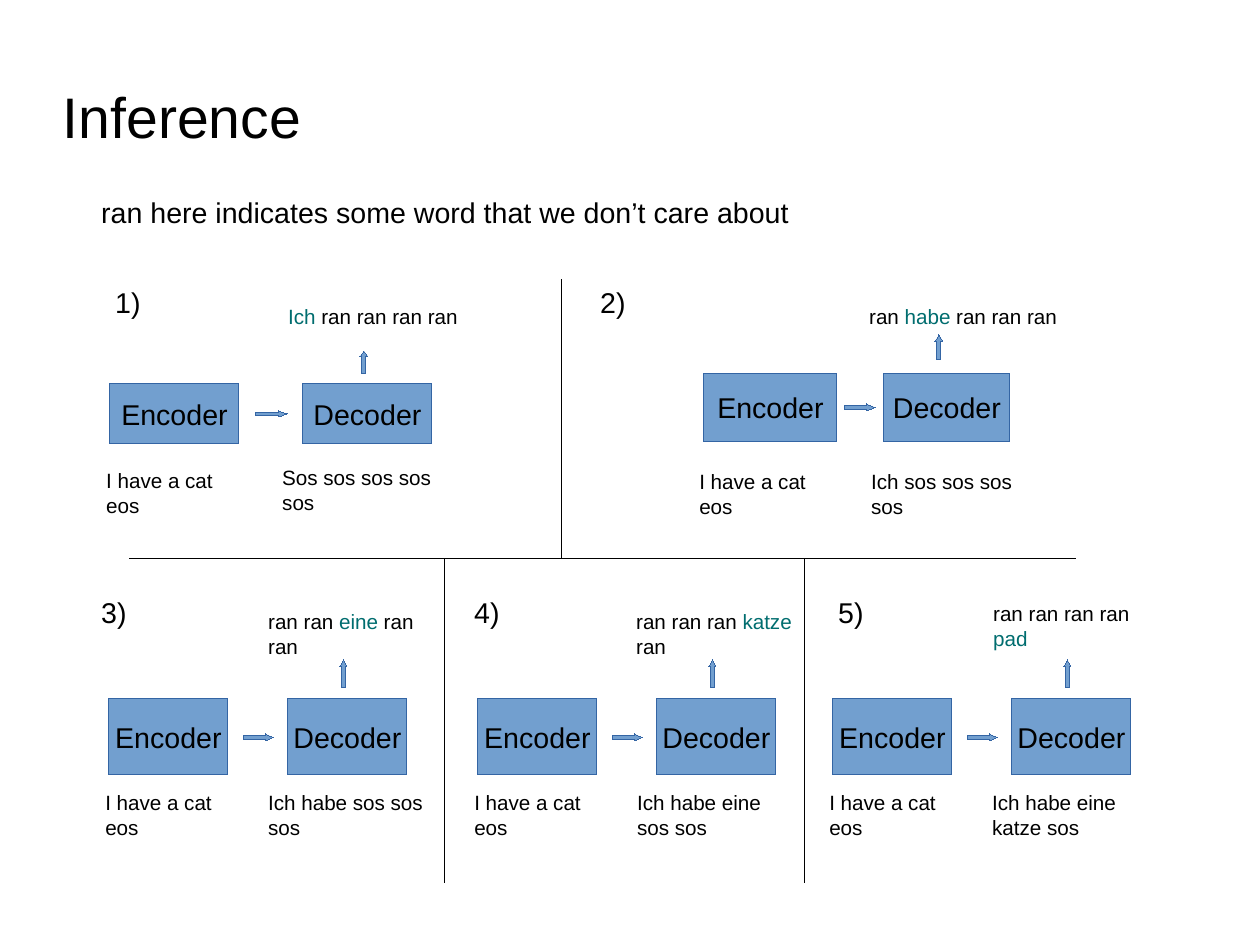
from dataclasses import dataclass

from lxml.etree import SubElement
from pptx import Presentation
from pptx.dml.color import RGBColor
from pptx.enum.shapes import MSO_CONNECTOR as Link, MSO_SHAPE as Kind
from pptx.enum.text import MSO_ANCHOR as Anchor, PP_ALIGN as Align
from pptx.oxml.ns import qn
from pptx.util import Pt

PX = 8000
FONT = "Arial"
HAIR = Pt(0.01)
BLACK = RGBColor(0x00, 0x00, 0x00)
TEAL = RGBColor(0x00, 0x6D, 0x6F)
BLUE = RGBColor(0x72, 0x9F, 0xCF)
NAVY = RGBColor(0x34, 0x65, 0xA4)


@dataclass
class Plan:
    """Boxes of one step, measured from the top left of its encoder."""
    enc: tuple
    dec: tuple
    right: tuple
    up: tuple
    src: tuple
    dst: tuple
    heads: tuple


FIRST = Plan((0, 0, 129, 60), (193, 0, 129, 60), (145, 27, 32, 6), (250, -33, 8, 22),
             (-15, 78, 161, 57), (161, 75, 193, 57), (1.47, 0.69))
SECOND = Plan((0, 0, 133, 69), (180, 0, 126, 69), (140, 31, 31, 7), (231, -38, 8, 25),
              (-16, 90, 157, 57), (156, 90, 187, 57), (1.23, 0.81))
LOWER = Plan((0, 0, 119, 76), (179, 0, 119, 76), (134, 35, 30, 7), (231, -39, 7, 28),
             (-15, 85, 149, 97), (148, 85, 178, 97), (1.07, 0.94))

STEPS = [
    (FIRST, (110, 384), (-6, -105), (167, -86, 270, 34),
     "Sos sos sos sos sos", ("", "Ich", " ran ran ran ran")),
    (SECOND, (704, 373), (-115, -94), (154, -75, 234, 34),
     "Ich sos sos sos sos", ("ran ", "habe", " ran ran ran")),
    (LOWER, (109, 699), (-19, -110), (148, -96, 178, 97),
     "Ich habe sos sos sos", ("ran ran ", "eine", " ran ran")),
    (LOWER, (478, 699), (-15, -110), (147, -96, 178, 97),
     "Ich habe eine sos sos", ("ran ran ran ", "katze", " ran")),
    (LOWER, (833, 699), (-6, -110), (149, -104, 178, 97),
     "Ich habe eine katze sos", ("ran ran ran ran ", "pad", "")),
]

RULES = [(562, 279, 562, 558), (445, 558, 445, 882),
         (805, 558, 805, 882), (130, 558, 1076, 558)]


def scale(box):
    """Turn px into EMU."""
    return [n * PX for n in box]


def shift(spot, box):
    """Move a box by the given spot."""
    return (spot[0] + box[0], spot[1] + box[1], *box[2:])


def write(frame, size, runs):
    """Fill a frame with runs, every second one in teal."""
    para = frame.paragraphs[0]
    font = para.font
    font.name, font.size = FONT, Pt(size)
    font.color.rgb = BLACK
    for i, words in enumerate(runs):
        if words:
            run = para.add_run()
            run.text = words
            if i % 2:
                run.font.color.rgb = TEAL
    return para


def label(slide, box, size, *runs):
    """Add a wrapped text box."""
    frame = slide.shapes.add_textbox(*scale(box)).text_frame
    frame.word_wrap = True
    write(frame, size, runs)
    return frame


def solid(slide, kind, box):
    """Add a blue shape with a thin navy edge."""
    shape = slide.shapes.add_shape(kind, *scale(box))
    shape.shadow.inherit = False
    shape.fill.solid()
    shape.fill.fore_color.rgb = BLUE
    shape.line.color.rgb = NAVY
    shape.line.width = HAIR
    return shape


def block(slide, box, name):
    """Add a named model block."""
    frame = solid(slide, Kind.RECTANGLE, box).text_frame
    frame.word_wrap = False
    frame.vertical_anchor = Anchor.MIDDLE
    write(frame, 18, [name]).alignment = Align.CENTER


def arrow(slide, kind, box, head):
    """Add a block arrow with the given head length."""
    solid(slide, kind, box).adjustments[1] = head


def step(slide, plan, spot, num, mark, out, feed, runs):
    """Draw one decoding step around its encoder."""
    block(slide, shift(spot, plan.enc), "Encoder")
    block(slide, shift(spot, plan.dec), "Decoder")
    arrow(slide, Kind.RIGHT_ARROW, shift(spot, plan.right), plan.heads[0])
    arrow(slide, Kind.UP_ARROW, shift(spot, plan.up), plan.heads[1])
    label(slide, shift(spot, plan.src), 13, "I have a cat eos")
    label(slide, shift(spot, plan.dst), 13, feed)
    label(slide, shift(spot, out), 13, *runs)
    label(slide, shift(spot, (*mark, 72, 75)), 18, f"{num})")


def header(slide, box):
    """Write the title and the note below it."""
    frame = label(slide, shift(box, (0, 0, 900, 90)), 36, "Inference")
    frame.vertical_anchor = Anchor.MIDDLE
    frame.margin_left = frame.margin_right = 0
    frame.margin_top = frame.margin_bottom = 0
    label(slide, shift(box, (27, 118, 820, 43)), 18,
          "ran here indicates some word that we don’t care about")


def rule(slide, ends):
    """Draw a thin black dividing line."""
    line = slide.shapes.add_connector(Link.STRAIGHT, *scale(ends))
    line.line.color.rgb = BLACK
    line.line.width = HAIR
    SubElement(line._element.spPr, qn("a:effectLst"))


def main():
    """Build the slide and save it."""
    deck = Presentation()
    deck.slide_width, deck.slide_height = scale((1260, 945))
    slide = deck.slides.add_slide(deck.slide_layouts[6])
    header(slide, (63, 71))
    for num, (plan, spot, mark, out, feed, runs) in enumerate(STEPS, 1):
        step(slide, plan, spot, num, mark, out, feed, runs)
    for ends in RULES:
        rule(slide, ends)
    deck.save("out.pptx")


if __name__ == "__main__":
    main()
